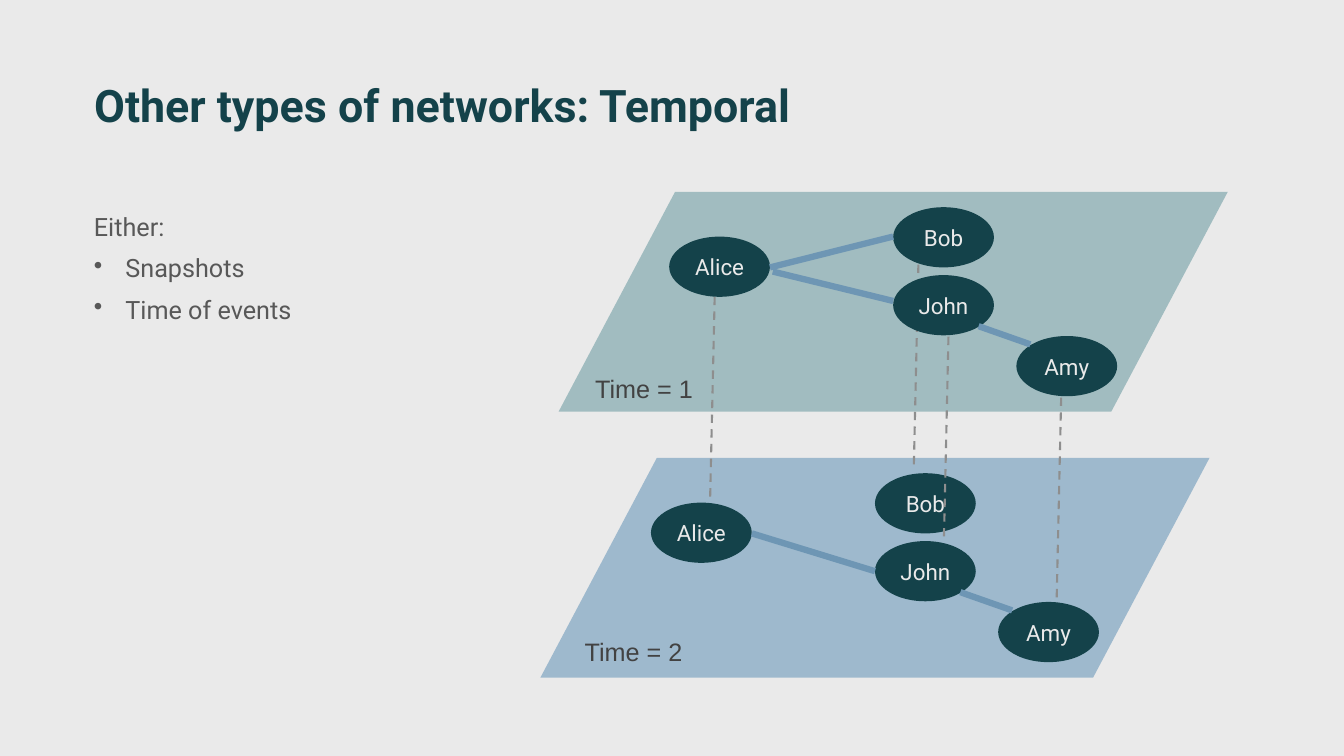
import pptx
import pptx.util
import pptx.dml.color
import pptx.enum.dml
import pptx.enum.shapes
import pptx.enum.text
import pptx.oxml

Pt = pptx.util.Pt
RGB = pptx.dml.color.RGBColor
SHAPE = pptx.enum.shapes.MSO_SHAPE
LINE = pptx.enum.shapes.MSO_CONNECTOR.STRAIGHT
TEXT = pptx.enum.text

PAPER = RGB(0xEA, 0xEA, 0xEA)
DEEP = RGB(0x14, 0x42, 0x4A)
SAGE = RGB(0xA1, 0xBC, 0xC0)
SKY = RGB(0x9E, 0xB9, 0xCD)
BLUE = RGB(0x6E, 0x96, 0xB4)
DASH = RGB(0x8E, 0x8E, 0x8E)
BODY = RGB(0x58, 0x58, 0x58)
LABEL = RGB(0x42, 0x42, 0x42)

TITLE = "Other types of networks: Temporal"
INTRO = "Either:"
BULLETS = ["Snapshots", "Time of events"]

# Places on the first plane, in points; the second plane is shifted.
PLANE = (399, 137, 478, 157)
NODE = (72, 43)
PEOPLE = {"Alice": (478, 169), "Bob": (638, 148),
          "John": (638, 196.5), "Amy": (726, 240)}
AMY = (699, 233, 736, 246)
TIMES = [
    {"shift": (0, 0), "fill": SAGE, "label": ("Time = 1", 418, 263),
     "links": [(550, 191, 638, 169), (552, 194, 638, 215), AMY]},
    {"shift": (-13, 190), "fill": SKY, "label": ("Time = 2", 410.5, 451),
     "links": [(550, 191, 638, 218), AMY]},
]
TRACKS = [(510.5, 212), (656, 189), (677.5, 240.5), (758, 284)]
DRIFT = (-3.3, 147)

deck = pptx.Presentation()
deck.slide_width, deck.slide_height = Pt(960), Pt(540)
slide = deck.slides.add_slide(deck.slide_layouts[5])
slide.background.fill.solid()
slide.background.fill.fore_color.rgb = PAPER
shapes = slide.shapes


def style(para, **look):
    """Set font values; the key color takes an RGBColor."""
    para.font.color.rgb = look.pop("color")
    for key, value in look.items():
        setattr(para.font, key, value)


def solid(kind, box, fill):
    shape = shapes.add_shape(kind, *map(Pt, box))
    shape.shadow.inherit = False
    shape.fill.solid()
    shape.fill.fore_color.rgb = fill
    shape.line.fill.background()
    return shape


def join(ends, color, width):
    line = shapes.add_connector(LINE, *map(Pt, ends))
    line.line.color.rgb = color
    line.line.width = Pt(width)
    props = line.element.spPr
    props.append(pptx.oxml.parse_xml(
        '<a:effectLst xmlns:a="http://schemas.openxmlformats.org/'
        'drawingml/2006/main"/>'))
    return line


def plane(time):
    dx, dy = time["shift"]
    left, top, wide, high = PLANE
    shape = solid(SHAPE.PARALLELOGRAM, (left + dx, top + dy, wide, high),
                  time["fill"])
    shape.adjustments[0] = 0.53


def network(time):
    dx, dy = time["shift"]
    for name, (x, y) in PEOPLE.items():
        frame = solid(SHAPE.OVAL, (x + dx, y + dy, *NODE), DEEP).text_frame
        frame.margin_left = frame.margin_right = 0
        frame.vertical_anchor = TEXT.MSO_ANCHOR.MIDDLE
        para = frame.paragraphs[0]
        para.text = name
        para.alignment = TEXT.PP_ALIGN.CENTER
        style(para, name="Roboto", size=Pt(16), color=PAPER)
    for x1, y1, x2, y2 in time["links"]:
        join((x1 + dx, y1 + dy, x2 + dx, y2 + dy), BLUE, 4.5)


def bullet(para):
    props = para._p.get_or_add_pPr()
    props.set("marL", str(Pt(22.5)))
    props.set("indent", str(-Pt(22.5)))
    props.append(pptx.oxml.parse_xml(
        '<a:buChar xmlns:a="http://schemas.openxmlformats.org/'
        'drawingml/2006/main" char="•"/>'))


title = shapes.title
for key, value in dict(left=60, top=56, width=817, height=94).items():
    setattr(title, key, Pt(value))
frame = title.text_frame
frame.text = TITLE
frame.word_wrap = True
frame.vertical_anchor = TEXT.MSO_ANCHOR.TOP
head = frame.paragraphs[0]
head.alignment = TEXT.PP_ALIGN.LEFT
head.line_spacing = 0.9
style(head, name="Roboto", size=Pt(32), bold=True, color=DEEP)

frame = shapes.add_textbox(Pt(60), Pt(150), Pt(420), Pt(289)).text_frame
frame.word_wrap = True
for i, line in enumerate([INTRO] + BULLETS):
    para = frame.add_paragraph() if i else frame.paragraphs[0]
    para.text = line
    para.line_spacing = 0.9
    if i:
        para.space_before = Pt(10)
        bullet(para)
    style(para, name="Roboto", size=Pt(18), color=BODY)

first, second = TIMES
plane(second)
plane(first)
network(second)
for x, y in TRACKS:
    track = join((x, y, x + DRIFT[0], y + DRIFT[1]), DASH, 1.5)
    track.line.dash_style = pptx.enum.dml.MSO_LINE.DASH
network(first)

for time in TIMES:
    text, x, y = time["label"]
    frame = shapes.add_textbox(Pt(x), Pt(y), Pt(85), Pt(29)).text_frame
    frame.word_wrap = False
    para = frame.paragraphs[0]
    para.text = text
    style(para, name="Arial", size=Pt(18), color=LABEL)

deck.save("out.pptx")
